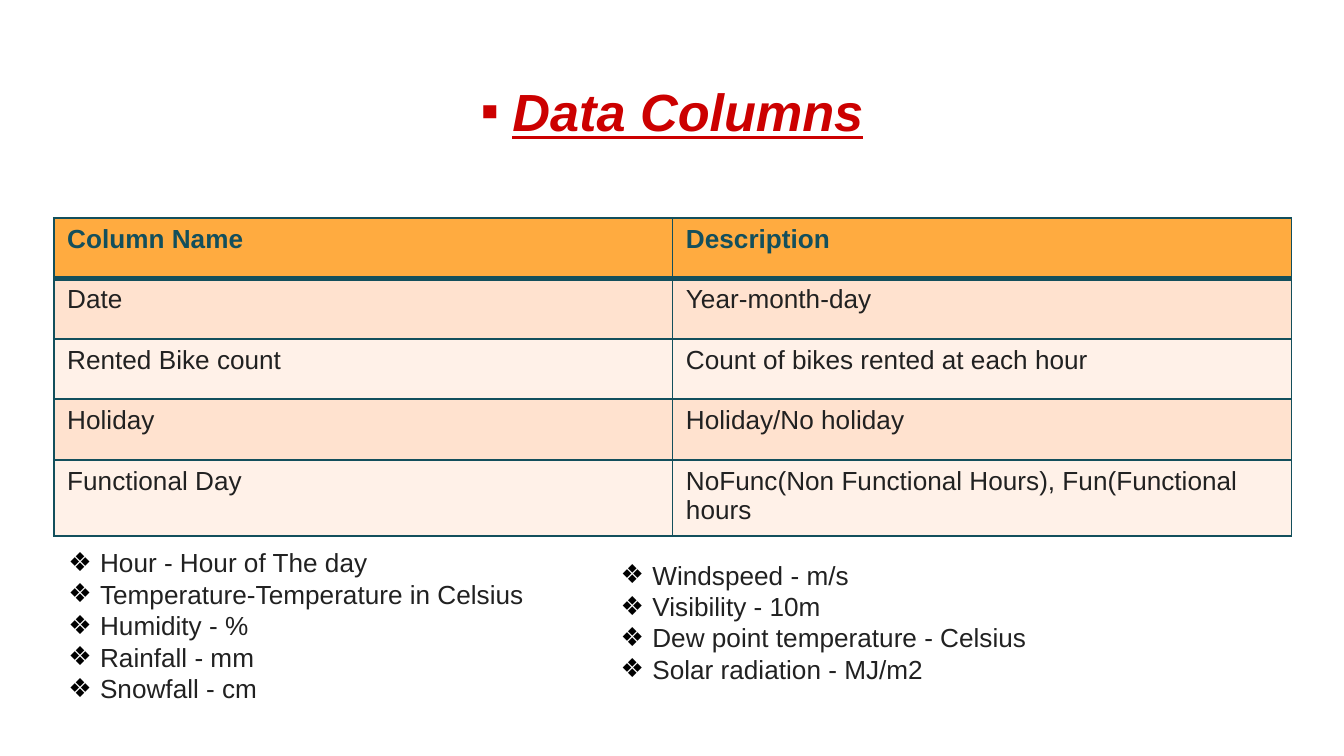
from dataclasses import dataclass
from lxml.etree import SubElement
from pptx import Presentation
from pptx.dml.color import RGBColor
from pptx.enum.text import PP_ALIGN
from pptx.oxml.ns import qn
from pptx.util import Pt


@dataclass(frozen=True)
class Theme:
    font: str = "Arial"
    red: str = "CC0000"
    teal: str = "134F5C"
    ink: str = "212121"
    black: str = "000000"
    head: str = "FFAB40"
    bands: tuple = ("FFE2CF", "FFF1E8")
    title: int = 28
    body: int = 14
    thin: int = 1
    thick: int = 3
    hang: int = 17


class Deck:
    def __init__(self, theme, wide, high):
        self.theme = theme
        self.show = Presentation()
        self.show.slide_width, self.show.slide_height = Pt(wide), Pt(high)
        self.slide = self.show.slides.add_slide(self.show.slide_layouts[6])

    def style(self, par, size, tint, **marks):
        for run in par.runs:
            font = run.font
            font.name, font.size = self.theme.font, Pt(size)
            font.color.rgb = RGBColor.from_string(tint)
            for name, value in marks.items():
                setattr(font, name, value)

    def bullet(self, par, sign, tint):
        hang = Pt(self.theme.hang)
        props = par._p.get_or_add_pPr()
        props.set("marL", str(hang))
        props.set("indent", str(-hang))
        paint = SubElement(props, qn("a:buClr"))
        SubElement(paint, qn("a:srgbClr"), val=tint)
        SubElement(props, qn("a:buFont"), typeface=self.theme.font)
        SubElement(props, qn("a:buChar"), char=sign)

    def frame(self, box, lines):
        frame = self.slide.shapes.add_textbox(*map(Pt, box)).text_frame
        frame.word_wrap = True
        frame.text = "\n".join(lines)
        return frame

    def title(self, box, text):
        theme = self.theme
        frame = self.frame(box, [text])
        frame.margin_top = frame.margin_bottom = Pt(7.2)
        par = frame.paragraphs[0]
        par.alignment = PP_ALIGN.CENTER
        self.bullet(par, "▪", theme.red)
        self.style(par, theme.title, theme.red,
                   bold=True, italic=True, underline=True)

    def list(self, box, lines):
        theme = self.theme
        for par in self.frame(box, lines).paragraphs:
            self.bullet(par, "❖", theme.black)
            self.style(par, theme.body, theme.ink)

    def border(self, cell, side, width):
        props = cell._tc.get_or_add_tcPr()
        line = SubElement(props, qn("a:ln" + side), w=str(Pt(width)))
        fill = SubElement(line, qn("a:solidFill"))
        SubElement(fill, qn("a:srgbClr"), val=self.theme.teal)

    def table(self, box, rows):
        theme = self.theme
        grid = self.slide.shapes.add_table(
            len(rows), len(rows[0]), *map(Pt, box)).table
        for i, row in enumerate(rows):
            top = i == 0
            fill = theme.head if top else theme.bands[(i - 1) % 2]
            # The line under the header belongs to both rows it parts
            heavy = {0: "B", 1: "T"}.get(i)
            for j, text in enumerate(row):
                cell = grid.cell(i, j)
                cell.text_frame.text = text
                self.style(cell.text_frame.paragraphs[0], theme.body,
                           theme.teal if top else theme.ink, bold=top)
                for side in "LRTB":
                    self.border(cell, side,
                                theme.thick if side == heavy else theme.thin)
                cell.fill.solid()
                cell.fill.fore_color.rgb = RGBColor.from_string(fill)

    def save(self):
        self.show.save("out.pptx")


def main():
    deck = Deck(Theme(), 720, 405)

    # Heading
    deck.title((24.5, 35.3, 671, 45.4), "Data Columns")

    # Column table
    deck.table((28.8, 116.7, 663, 162), [
        ("Column Name", "Description"),
        ("Date", "Year-month-day"),
        ("Rented Bike count", "Count of bikes rented at each hour"),
        ("Holiday", "Holiday/No holiday"),
        ("Functional Day",
         "NoFunc(Non Functional Hours), Fun(Functional hours"),
    ])

    # Units, in two lists
    deck.list((29.5, 289.4, 510.5, 108.7), [
        "Hour - Hour of The day",
        "Temperature-Temperature in Celsius",
        "Humidity - %",
        "Rainfall - mm",
        "Snowfall - cm",
    ])
    deck.list((325.4, 295.9, 354.2, 74.9), [
        "Windspeed - m/s",
        "Visibility - 10m",
        "Dew point temperature - Celsius",
        "Solar radiation - MJ/m2",
    ])

    deck.save()


if __name__ == "__main__":
    main()
